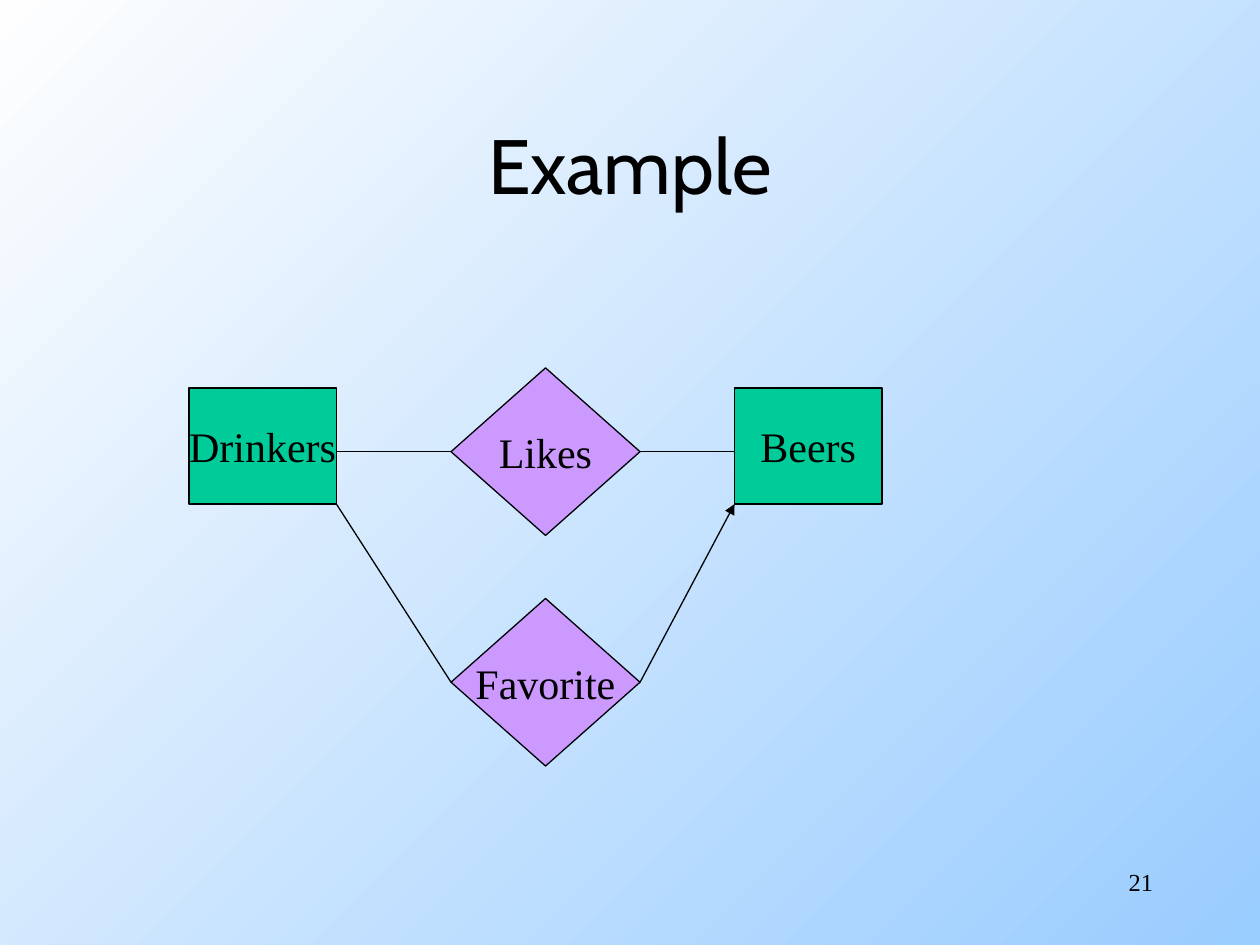
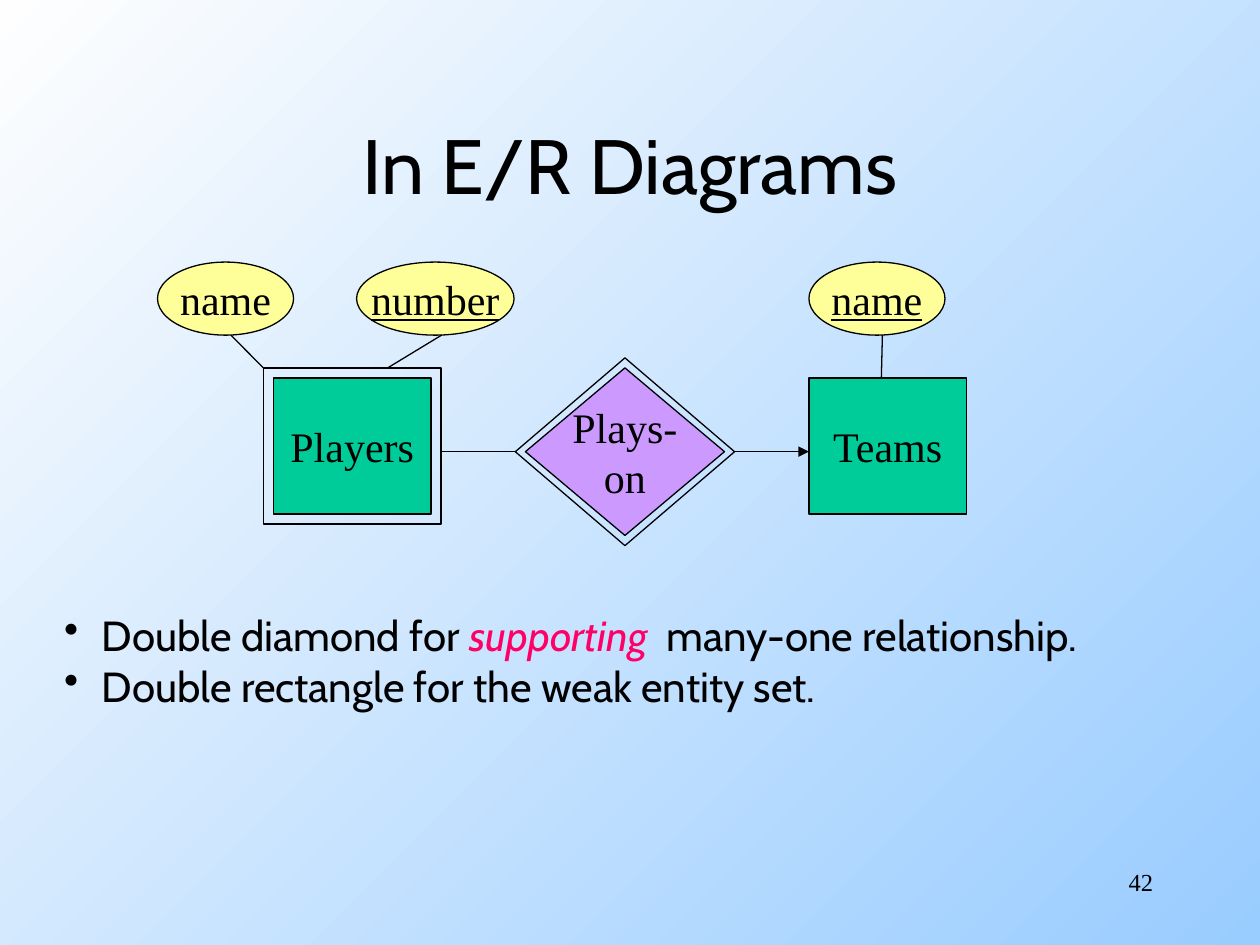
from dataclasses import dataclass

from pptx import Presentation
from pptx.dml.color import RGBColor as RGB
from pptx.enum.shapes import MSO_CONNECTOR, MSO_SHAPE as SHAPE
from pptx.enum.text import MSO_ANCHOR as ANCHOR, PP_ALIGN as ALIGN
from pptx.oxml.ns import qn
from pptx.util import Inches, Pt
from lxml.etree import SubElement


@dataclass(frozen=True)
class Theme:
    ink: str = "000000"
    accent: str = "FF0066"
    entity: str = "00CC99"
    relationship: str = "CC99FF"
    attribute: str = "FFFF99"
    background: tuple = ("99CCFF", "FEFEFE")
    sans: str = "Cabin"
    serif: str = "Times New Roman"
    title_size: int = 44
    body_size: int = 24
    number_size: int = 14
    line_width: float = 0.75


THEME = Theme()


@dataclass(frozen=True)
class Box:
    x: float
    y: float
    w: float
    h: float

    def inner(self, x, y, w, h):
        """Box placed relative to this one's top left corner."""
        return Box(self.x + x, self.y + y, w, h)

    def grow(self, gap):
        return Box(self.x - gap, self.y - gap, self.w + 2 * gap, self.h + 2 * gap)

    def at(self, fx, fy):
        """Point at the given fractions of width and height."""
        return self.x + fx * self.w, self.y + fy * self.h

    def inches(self):
        return [Inches(v) for v in (self.x, self.y, self.w, self.h)]


TITLE_BOX = Box(0.75, 0.67, 8.5, 1.25)
NUMBER_BOX = Box(7.17, 6.83, 2.08, 0.5)
OUTLINE_GAP = 0.08
STEM = 0.54  # where an attribute's line leaves its oval


def add_run(p, text, font, size, color=THEME.ink, **style):
    r = p.add_run()
    r.text = text
    r.font.name, r.font.size = font, Pt(size)
    r.font.color.rgb = RGB.from_string(color)
    for name, value in style.items():
        setattr(r.font, name, value)


def add_text_box(slide, box, anchor=ANCHOR.TOP):
    tf = slide.shapes.add_textbox(*box.inches()).text_frame
    tf.word_wrap = True
    tf.vertical_anchor = anchor
    return tf


def add_frame(slide, title, number):
    p = add_text_box(slide, TITLE_BOX, ANCHOR.MIDDLE).paragraphs[0]
    p.alignment = ALIGN.CENTER
    add_run(p, title, THEME.sans, THEME.title_size)
    p = add_text_box(slide, NUMBER_BOX).paragraphs[0]
    p.alignment = ALIGN.RIGHT
    add_run(p, str(number), THEME.serif, THEME.number_size)


def add_node(slide, box, kind, fill=None, lines=(), underline=None):
    """Outlined shape with centred lines of text; returns its box."""
    sp = slide.shapes.add_shape(kind, *box.inches())
    sp.shadow.inherit = False
    if fill:
        sp.fill.solid()
        sp.fill.fore_color.rgb = RGB.from_string(fill)
    else:
        sp.fill.background()
    sp.line.color.rgb = RGB.from_string(THEME.ink)
    sp.line.width = Pt(THEME.line_width)
    tf = sp.text_frame
    tf.word_wrap = False
    tf.vertical_anchor = ANCHOR.MIDDLE
    for i, line in enumerate(lines):
        p = tf.add_paragraph() if i else tf.paragraphs[0]
        p.alignment = ALIGN.CENTER
        add_run(p, line, THEME.serif, THEME.body_size, underline=underline)
    return box


def add_entity(slide, box, name):
    return add_node(slide, box, SHAPE.RECTANGLE, THEME.entity, [name])


def add_relationship(slide, box, *lines):
    return add_node(slide, box, SHAPE.DIAMOND, THEME.relationship, lines)


def add_attribute(slide, box, name, key=None):
    return add_node(slide, box, SHAPE.OVAL, THEME.attribute, [name], key)


def add_link(slide, start, end, arrow=False):
    points = [Inches(v) for v in (*start, *end)]
    line = slide.shapes.add_connector(MSO_CONNECTOR.STRAIGHT, *points)
    line.line.color.rgb = RGB.from_string(THEME.ink)
    line.line.width = Pt(THEME.line_width)
    props = line._element.spPr
    if arrow:
        SubElement(props.find(qn("a:ln")), qn("a:tailEnd"), type="triangle")
    SubElement(props, qn("a:effectLst"))


def add_bullets(slide, box, items):
    """Each item is a list of (text, style) runs."""
    tf = add_text_box(slide, box)
    for i, runs in enumerate(items):
        p = tf.add_paragraph() if i else tf.paragraphs[0]
        props = p._p.get_or_add_pPr()
        props.set("marL", str(Inches(0.3)))
        props.set("indent", str(-Inches(0.3)))
        SubElement(props, qn("a:buChar"), char="•")
        for text, style in runs:
            add_run(p, text, THEME.sans, THEME.body_size, **style)


def draw_likes_diagram(slide, box):
    drinkers = add_entity(slide, box.inner(0, 0.16, 1.17, 0.92), "Drinkers")
    beers = add_entity(slide, box.inner(4.33, 0.16, 1.17, 0.92), "Beers")
    likes, favorite = (
        add_relationship(slide, box.inner(2.08, y, 1.5, 1.33), name)
        for y, name in ((0, "Likes"), (1.83, "Favorite")))
    axis = likes.at(0, 0.5)[1]
    add_link(slide, (drinkers.at(1, 0)[0], axis), likes.at(0, 0.5))
    add_link(slide, likes.at(1, 0.5), (beers.x, axis))
    add_link(slide, drinkers.at(1, 1), favorite.at(0, 0.5))
    add_link(slide, favorite.at(1, 0.5), beers.at(0, 1), arrow=True)


def draw_weak_entity_diagram(slide, box):
    players = add_entity(slide, box.inner(0.92, 0.92, 1.25, 1.08), "Players")
    teams = add_entity(slide, box.inner(5.17, 0.92, 1.25, 1.08), "Teams")
    weak = add_node(slide, players.grow(OUTLINE_GAP), SHAPE.RECTANGLE)
    plays_on = add_relationship(slide, box.inner(2.92, 0.84, 1.58, 1.33), "Plays-", "on")
    supporting = add_node(slide, plays_on.grow(OUTLINE_GAP), SHAPE.DIAMOND)
    for x, width, name, key, end in (
            (0, 1.08, "name", None, weak.at(0, 0)),
            (5.17, 1.08, "name", True, teams.at(0.46, 0)),
            (1.58, 1.25, "number", True, weak.at(0.7, 0))):
        oval = add_attribute(slide, box.inner(x, 0, width, 0.58), name, key)
        add_link(slide, oval.at(STEM, 1), end)
    axis = supporting.at(0, 0.5)[1]
    add_link(slide, (weak.at(1, 0)[0], axis), supporting.at(0, 0.5))
    add_link(slide, supporting.at(1, 0.5), (teams.x, axis), arrow=True)


def set_background(master):
    fill = master.background.fill
    fill.gradient()
    fill.gradient_angle = 135
    for stop, color in zip(fill.gradient_stops, THEME.background):
        stop.color.rgb = RGB.from_string(color)


def add_slide(prs, title, number):
    slide = prs.slides.add_slide(prs.slide_layouts[6])
    add_frame(slide, title, number)
    return slide


def main():
    prs = Presentation()
    prs.slide_width, prs.slide_height = Inches(10), Inches(7.5)
    set_background(prs.slide_master)

    slide = add_slide(prs, "Example", 21)
    draw_likes_diagram(slide, Box(1.5, 2.92, 5.5, 3.16))

    slide = add_slide(prs, "In E/R Diagrams", 42)
    draw_weak_entity_diagram(slide, Box(1.25, 2.08, 6.42, 2.25))
    add_bullets(slide, Box(0.41, 4.79, 9.08, 0.9), [
        [("Double diamond for ", {}),
         ("supporting ", {"color": THEME.accent, "italic": True}),
         (" many-one relationship.", {})],
        [("Double rectangle for the weak entity set.", {})],
    ])
    prs.save("out.pptx")


if __name__ == "__main__":
    main()
